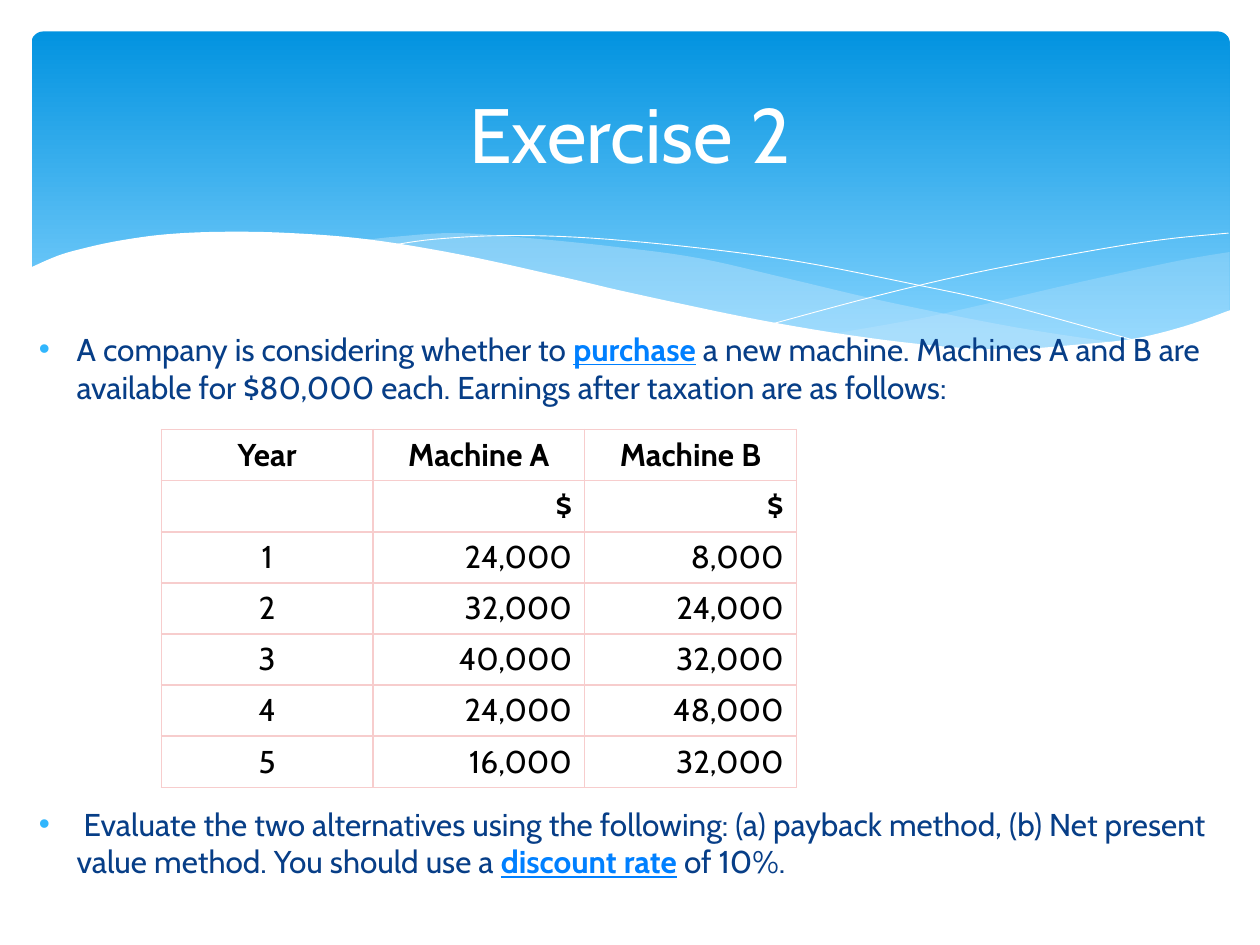
from dataclasses import dataclass

from lxml import etree
from pptx import Presentation
from pptx.dml.color import RGBColor
from pptx.enum.shapes import MSO_SHAPE
from pptx.enum.text import MSO_ANCHOR, PP_ALIGN
from pptx.oxml.ns import qn
from pptx.util import Inches, Pt

ROUNDED = MSO_SHAPE.ROUNDED_RECTANGLE
MIDDLE, TOP = MSO_ANCHOR.MIDDLE, MSO_ANCHOR.TOP
CENTER, LEFT, RIGHT = PP_ALIGN.CENTER, PP_ALIGN.LEFT, PP_ALIGN.RIGHT
TITLE_ONLY = 5
WAVE_GRID = (100, 150)

RIPPLE_RIGHT = (
    [(97.6, 20), (93.5, 27), (86.1, 43), (77.9, 62), (72.9, 73), (66.1, 85)],
    [(66.1, 85), (70.5, 91), (75.7, 95), (81.4, 98), (87.2, 94), (92.1, 85), (94.9, 77), (97.6, 67)],
)
RIPPLE_MIDDLE = (
    [(89.3, 93), (80.7, 80), (70.6, 60), (62.9, 42), (55.5, 25), (48.9, 16), (42, 9), (36.1, 5),
     (31.3, 8), (28.6, 11)],
    [(28.6, 11), (34.2, 19), (40.4, 31), (44.9, 42), (53, 60), (60.1, 75), (66.5, 86), (72.2, 94),
     (77.3, 97), (81.8, 98), (85.7, 97), (89.3, 93)],
)
FALLING_LINE = [(30.9, 15), (34.4, 10), (40.1, 7), (46.9, 9), (55.6, 17), (63.6, 28), (72.7, 46),
                (79.5, 61), (90.7, 92)]
RISING_LINE = [(61.3, 77), (69.5, 55), (77.6, 36), (86.6, 19), (92.4, 10), (97.5, 5)]
FOREGROUND = [(97.7, 66), (94, 79), (89.9, 89), (85, 94), (80.9, 97), (76.1, 96), (68.8, 88),
              (60.3, 74), (50.3, 53), (44.7, 40), (36.5, 22), (29.2, 10), (23, 5), (17.7, 4),
              (13.2, 6), (9.5, 11), (6.7, 17), (4.6, 23), (2.3, 33)]
FOREGROUND_BASE = [(2.3, 149), (97.7, 149)]

EARNINGS = [
    ("Year", "Machine A", "Machine B"),
    ("", "$", "$"),
    ("1", "24,000", "8,000"),
    ("2", "32,000", "24,000"),
    ("3", "40,000", "32,000"),
    ("4", "24,000", "48,000"),
    ("5", "16,000", "32,000"),
]


@dataclass(frozen=True)
class Theme:
    """Colours, font and type sizes of the slide."""
    font: str = "Cabin"
    title_size: float = 44
    body_size: float = 18
    band_top: str = "0293E0"
    band_bottom: str = "83D3FE"
    ripple: str = "C6E7FC"
    white: str = "FFFFFF"
    text: str = "073E87"
    link: str = "0080FF"
    bullet: str = "31B6FD"
    table_text: str = "000000"
    border: str = "F7CDCD"


THEME = Theme()


@dataclass(frozen=True)
class Box:
    """A region of the slide, in inches."""
    left: float
    top: float
    width: float
    height: float

    def place(self):
        """Return left, top, width and height as lengths."""
        return [Inches(value) for value in (self.left, self.top, self.width, self.height)]

    def point(self, spot, grid):
        """Return the position of a grid spot inside the box."""
        return (Inches(self.left + self.width * spot[0] / grid[0]),
                Inches(self.top + self.height * spot[1] / grid[1]))


def rgb(value):
    """Return a colour object for a hex value."""
    return RGBColor.from_string(value)


def add_span(para, text, size=THEME.body_size, color=THEME.text, bold=False, underline=False):
    """Add formatted text to a paragraph."""
    span = para.add_run()
    span.text = text
    span.font.name = THEME.font
    span.font.size = Pt(size)
    span.font.color.rgb = rgb(color)
    span.font.bold = bold
    span.font.underline = underline


def smooth(knots, steps=6):
    """Return points on a Catmull-Rom curve through the knots."""
    padded = [knots[0], *knots, knots[-1]]
    points = [knots[0]]
    for a, b, c, d in zip(padded, padded[1:], padded[2:], padded[3:]):
        for step in range(1, steps + 1):
            t = step / steps
            points.append(tuple(
                (2 * q + (r - p) * t + (2 * p - 5 * q + 4 * r - s) * t ** 2
                 + (3 * q - p - 3 * r + s) * t ** 3) / 2
                for p, q, r, s in zip(a, b, c, d)))
    return points


def add_curve(page, box, points, fill=None, opacity=100, line=None):
    """Draw a filled outline or an open line from grid points."""
    start, *rest = [box.point(spot, WAVE_GRID) for spot in points]
    builder = page.shapes.build_freeform(*start)
    builder.add_line_segments(rest, close=fill is not None)
    shape = builder.convert_to_shape()
    shape.shadow.inherit = False
    if fill:
        shape.fill.solid()
        shape.fill.fore_color.rgb = rgb(fill)
        color = shape.fill._xPr.find(".//" + qn("a:srgbClr"))
        etree.SubElement(color, qn("a:alpha"), val=str(opacity * 1000))
    else:
        shape.fill.background()
    if line:
        shape.line.color.rgb = rgb(line)
        shape.line.width = Pt(0.5)
    else:
        shape.line.fill.background()


def add_band(page, box):
    """Draw the rounded gradient band."""
    band = page.shapes.add_shape(ROUNDED, *box.place())
    band.adjustments[0] = 0.034
    band.shadow.inherit = False
    band.line.fill.background()
    band.fill.gradient()
    band.fill.gradient_angle = 270
    stops = zip(band.fill.gradient_stops, (THEME.band_top, THEME.band_bottom), (0, 0.9))
    for stop, color, position in stops:
        stop.color.rgb = rgb(color)
        stop.position = position


def add_waves(page, box):
    """Draw the ripples, thin lines and white wave below the band."""
    for (upper, lower), opacity in ((RIPPLE_RIGHT, 29), (RIPPLE_MIDDLE, 40)):
        add_curve(page, box, smooth(upper) + smooth(lower), fill=THEME.ripple, opacity=opacity)
    for knots in (FALLING_LINE, RISING_LINE):
        add_curve(page, box, smooth(knots), line=THEME.white)
    add_curve(page, box, smooth(FOREGROUND) + FOREGROUND_BASE, fill=THEME.white)


def add_title(page, box, text):
    """Place the title placeholder in front of the band."""
    title = page.shapes.title
    title._element.getparent().append(title._element)
    title.left, title.top, title.width, title.height = box.place()
    title.text_frame.vertical_anchor = MIDDLE
    para = title.text_frame.paragraphs[0]
    para.alignment = CENTER
    add_span(para, text, size=THEME.title_size, color=THEME.white)


def add_bullet(para, gap, before, link, after):
    """Fill a bulleted paragraph whose middle words are a link style."""
    para.alignment = LEFT
    para.space_before = Pt(gap)
    properties = para._p.get_or_add_pPr()
    properties.set("marL", str(Inches(0.3)))
    properties.set("indent", str(Inches(-0.3)))
    color = etree.SubElement(properties, qn("a:buClr"))
    etree.SubElement(color, qn("a:srgbClr"), val=THEME.bullet)
    etree.SubElement(properties, qn("a:buFont"), typeface="Arial")
    etree.SubElement(properties, qn("a:buChar"), char="•")
    add_span(para, before)
    add_span(para, link, color=THEME.link, bold=True, underline=True)
    add_span(para, after)


def add_body(page, box):
    """Write the two bullets, leaving room between them for the table."""
    frame = page.shapes.add_textbox(*box.place()).text_frame
    frame.word_wrap = True
    frame.vertical_anchor = TOP
    add_bullet(frame.paragraphs[0], 0, "A company is considering whether to ", "purchase",
               " a new machine. Machines A and B are available for $80,000 each. "
               "Earnings after taxation are as follows:")
    add_bullet(frame.add_paragraph(), 228,
               " Evaluate the two alternatives using the following: (a) payback method, "
               "(b) Net present value method. You should use a ", "discount rate", " of 10%.")


def format_cell(cell, text, alignment, bold):
    """Give a cell its borders, fill and text."""
    properties = cell._tc.get_or_add_tcPr()
    for side in ("a:lnL", "a:lnR", "a:lnT", "a:lnB"):
        line = etree.SubElement(properties, qn(side), w=str(Pt(1)))
        fill = etree.SubElement(line, qn("a:solidFill"))
        etree.SubElement(fill, qn("a:srgbClr"), val=THEME.border)
    cell.fill.solid()
    cell.fill.fore_color.rgb = rgb(THEME.white)
    cell.vertical_anchor = MIDDLE
    para = cell.text_frame.paragraphs[0]
    para.alignment = alignment
    if text:
        add_span(para, text, color=THEME.table_text, bold=bold)


def add_earnings(page, box):
    """Build the table of yearly earnings."""
    table = page.shapes.add_table(len(EARNINGS), len(EARNINGS[0]), *box.place()).table
    table.first_row = table.horz_banding = False
    for row, values in enumerate(EARNINGS):
        for column, text in enumerate(values):
            alignment = CENTER if row == 0 or column == 0 else RIGHT
            format_cell(table.cell(row, column), text, alignment, bold=row < 2)


def main():
    """Build the slide and save it."""
    deck = Presentation()
    deck.slide_width, deck.slide_height = Inches(10), Inches(7.5)
    page = deck.slides.add_slide(deck.slide_layouts[TITLE_ONLY])
    add_band(page, Box(0.25, 0.25, 9.51, 2.7))
    add_waves(page, Box(0, 1.8, 10, 1.5))
    add_body(page, Box(0.21, 2.57, 9.59, 4.75))
    add_title(page, Box(0.5, 0.37, 9, 1.37), "Exercise 2")
    add_earnings(page, Box(1.28, 3.41, 5.04, 2.83))
    deck.save("out.pptx")


if __name__ == "__main__":
    main()
